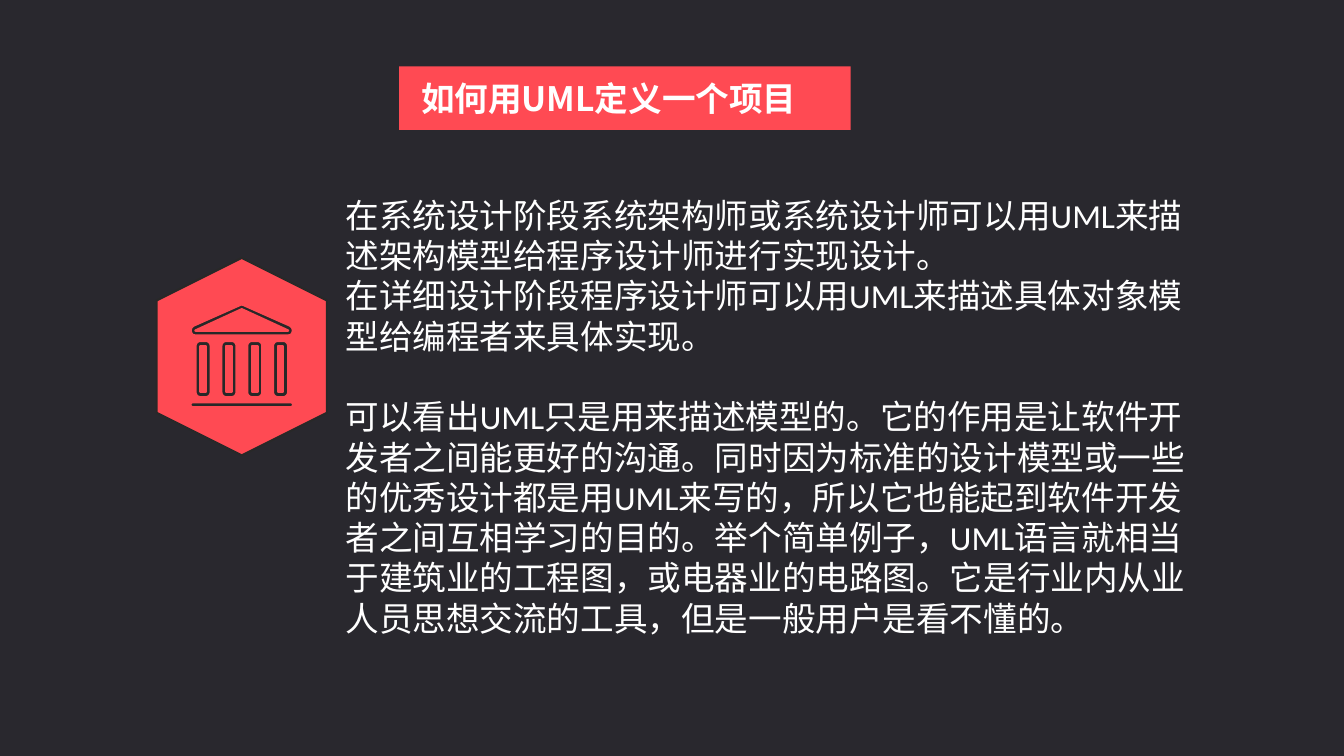
from math import cos, radians, sin

from lxml import etree
from pptx import Presentation
from pptx.dml.color import RGBColor
from pptx.enum.shapes import MSO_SHAPE
from pptx.enum.text import MSO_ANCHOR, MSO_AUTO_SIZE
from pptx.oxml.ns import qn
from pptx.util import Pt

HEXAGON, RECT = MSO_SHAPE.HEXAGON, MSO_SHAPE.RECTANGLE
TOP, MIDDLE = MSO_ANCHOR.TOP, MSO_ANCHOR.MIDDLE
FIT = MSO_AUTO_SIZE.SHAPE_TO_FIT_TEXT
RED, DARK, BACK, WHITE = "FF4A53", "282828", "29282E", "FFFFFF"
CJK = "Noto Sans CJK SC"

TITLE = "如何用UML定义一个项目"
BODY = [
    "在系统设计阶段系统架构师或系统设计师可以用UML来描述架构模型给程序设计师进行实现设计。",
    "在详细设计阶段程序设计师可以用UML来描述具体对象模型给编程者来具体实现。",
    "可以看出UML只是用来描述模型的。它的作用是让软件开发者之间能更好的沟通。"
    "同时因为标准的设计模型或一些的优秀设计都是用UML来写的，所以它也能起到软件开发者之间互相学习的目的。"
    "举个简单例子，UML语言就相当于建筑业的工程图，或电器业的电路图。"
    "它是行业内从业人员思想交流的工具，但是一般用户是看不懂的。",
]


def color(hex_text):
    return RGBColor.from_string(hex_text)


def style(sp, fill, line=None, width=0):
    sp.shadow.inherit = False
    sp.fill.solid()
    sp.fill.fore_color.rgb = color(fill)
    if line:
        sp.line.color.rgb = color(line)
        sp.line.width = Pt(width)
    else:
        sp.line.fill.background()


def add_block(s, kind, x, y, w, h, fill, line=None, width=0):
    sp = s.shapes.add_shape(kind, Pt(x), Pt(y), Pt(w), Pt(h))
    style(sp, fill, line, width)
    return sp


def rounded(x, y, w, h, radius):
    """Corner points of a rectangle with rounded corners, clockwise."""
    corners = [(x + radius, y + radius, 180), (x + w - radius, y + radius, 270),
               (x + w - radius, y + h - radius, 0), (x + radius, y + h - radius, 90)]
    return [(cx + radius * cos(radians(start + step)),
             cy + radius * sin(radians(start + step)))
            for cx, cy, start in corners for step in range(0, 91, 15)]


def add_outline(s, *contours):
    """One icon part; a second contour cuts a hole."""
    paths = [[(Pt(x), Pt(y)) for x, y in contour] for contour in contours]
    builder = s.shapes.build_freeform(*paths[0][0])
    builder.add_line_segments(paths[0][1:])
    for path in paths[1:]:
        builder.move_to(*path[0])
        builder.add_line_segments(path[1:])
    style(builder.convert_to_shape(), DARK, RED, 1.75)


def add_text(s, x, y, w, h, lines, font, bold=False, wrap=True, anchor=TOP):
    tf = s.shapes.add_textbox(Pt(x), Pt(y), Pt(w), Pt(h)).text_frame
    tf.word_wrap = wrap
    tf.auto_size = FIT
    tf.vertical_anchor = anchor
    tf.text = "\n".join(lines)
    for p in tf.paragraphs:
        p.font.size = Pt(24)
        p.font.bold = bold
        p.font.color.rgb = color(WHITE)
        p.font.name = font
        etree.SubElement(p._p.pPr.find(qn("a:defRPr")), qn("a:ea"), typeface=CJK)
    return tf


def add_temple(s):
    # Base
    add_outline(s, rounded(136.1, 287.3, 73.4, 3.6, 1.6))
    # Columns
    for i in range(4):
        x = 139.7 + 18.45 * i
        add_outline(s, rounded(x, 243.4, 11, 40.4, 3.6),
                    [(x + 3.6, 247), (x + 7.4, 247), (x + 7.4, 280.1), (x + 3.6, 280.1)])
    # Roof, mirrored about its middle
    mid = 172.8
    half = [(0, 217.4), (1.4, 217.9), (34.6, 232.6), (36.1, 234), (36.7, 236.2),
            (36, 238.3), (35, 239.4), (33.1, 239.8)]
    outer = [(mid + dx, y) for dx, y in half]
    outer += [(mid - dx, y) for dx, y in reversed(half[1:])]
    add_outline(s, outer, [(mid, 221), (mid + 33.1, 236.2), (mid - 33.1, 236.2)])


def main():
    prs = Presentation()
    prs.slide_width, prs.slide_height = Pt(960.5), Pt(540)
    s = prs.slides.add_slide(prs.slide_layouts[6])
    s.background.fill.solid()
    s.background.fill.fore_color.rgb = color(BACK)

    # Hexagon badge
    sp = add_block(s, HEXAGON, 102.2, 193.9, 141.1, 121.7, RED, DARK, 1.5)
    sp.rotation = 90
    add_temple(s)

    # Title banner
    add_block(s, RECT, 285.3, 47.4, 322.6, 45.4, RED)
    add_text(s, 293.8, 51.8, 295.9, 36, [TITLE], CJK, bold=True, wrap=False, anchor=MIDDLE)

    # Body, with one line of space before the conclusion
    tf = add_text(s, 239.8, 135.4, 632.2, 324, BODY, "Calibri")
    tf.paragraphs[-1].space_before = Pt(28.8)

    prs.save("out.pptx")


if __name__ == "__main__":
    main()
